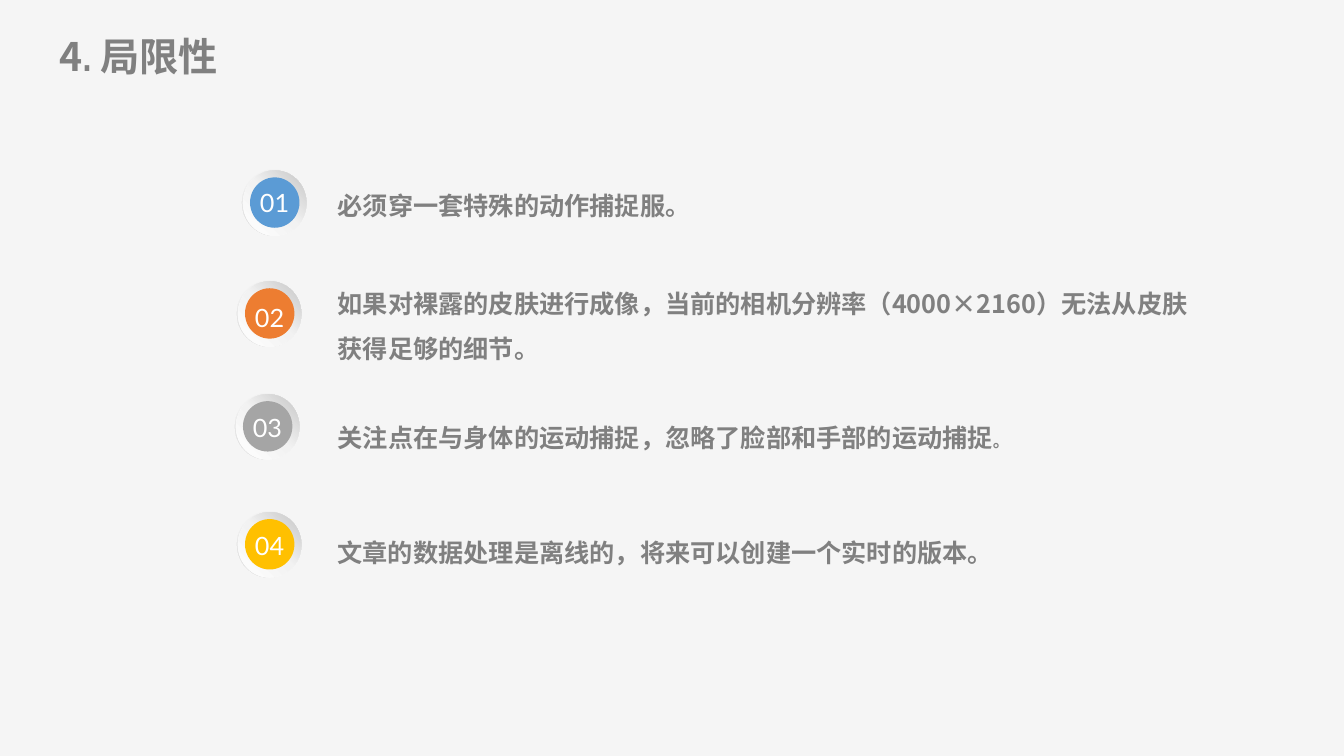
"""Builds a slide listing four numbered limitations."""
from copy import deepcopy

from pptx import Presentation
from pptx.dml.color import RGBColor
from pptx.enum.shapes import MSO_SHAPE
from pptx.enum.text import MSO_AUTO_SIZE, PP_ALIGN
from pptx.oxml.ns import qn
from pptx.oxml.xmlchemy import OxmlElement
from pptx.util import Inches, Pt

CJK = "Noto Sans CJK SC"
TITLE = {"name": CJK, "size": 28, "color": "808080", "bold": True}
BODY = {"name": CJK, "size": 18, "color": "808080", "bold": True}
NUMBER = {"name": "Lato", "size": 18, "color": "FFFFFF", "bold": False}

TITLE_RUNS = [("4", TITLE), (". 局限性", TITLE | {"name": "Arial Narrow"})]
LIMITATIONS = [
    {"number": "01", "color": "5B9BD5", "badge": (2.4, 1.68),
     "label": (2.48, 1.81, 0.54, 0.4), "box": (3.25, 1.74, 3.91, 0.4),
     "runs": [("必须穿一套特殊的动作捕捉服。", BODY)]},
    {"number": "02", "color": "ED7D31", "badge": (2.35, 2.78),
     "label": (2.43, 2.95, 0.57, 0.4), "box": (3.25, 2.71, 8.81, 0.86),
     "runs": [("如果对裸露的皮肤进行成像，当前的相机分辨率（4000×2160）"
               "无法从皮肤获得足够的细节。", BODY)]},
    {"number": "03", "color": "A5A5A5", "badge": (2.33, 3.9),
     "label": (2.41, 4.04, 0.57, 0.4), "box": (3.25, 4.04, 8.35, 0.4),
     "runs": [("关注点在与身体的运动捕捉，忽略了脸部和手部的运动捕捉", BODY),
              ("。", BODY | {"size": 12})]},
    {"number": "04", "color": "FFC000", "badge": (2.35, 5.07),
     "label": (2.43, 5.21, 0.58, 0.4), "box": (3.25, 5.18, 8.2, 0.4),
     "runs": [("文章的数据处理是离线的，将来可以创建一个实时的版本。", BODY)]},
]
RING_STOPS = [(0, "F2F2F2"), (0.55, "F2F2F2"), (1, "D9D9D9")]
DISH_STOPS = [(0, "FFFFFF"), (0.51, "F2F2F2"), (1, "C5C5C5")]


def rgb(value):
    return RGBColor.from_string(value)


def add_round(shapes, kind, left, top, width, height):
    shape = shapes.add_shape(kind, *map(Inches, (left, top, width, height)))
    shape.shadow.inherit = False
    shape.line.fill.background()
    return shape


def fill_gradient(shape, stops, angle):
    shape.fill.gradient()
    shape.fill.gradient_angle = angle
    stop_list = shape.element.spPr.find(qn("a:gradFill")).find(qn("a:gsLst"))
    stop_list.insert(1, deepcopy(stop_list[0]))
    for stop, (position, color) in zip(shape.fill.gradient_stops, stops):
        stop.position = position
        stop.color.rgb = rgb(color)


def add_text(slide, box, runs, inset=0.05, spacing=1.0, align=PP_ALIGN.LEFT):
    frame = slide.shapes.add_textbox(*map(Inches, box)).text_frame
    settings = {"word_wrap": True, "auto_size": MSO_AUTO_SIZE.SHAPE_TO_FIT_TEXT,
                "margin_left": Inches(0.1), "margin_right": Inches(0.1),
                "margin_top": Inches(inset), "margin_bottom": Inches(inset)}
    for name, value in settings.items():
        setattr(frame, name, value)
    paragraph = frame.paragraphs[0]
    paragraph.alignment = align
    paragraph.line_spacing = spacing
    for text, style in runs:
        run = paragraph.add_run()
        run.text = text
        formats = {"name": style["name"], "size": Pt(style["size"]), "bold": style["bold"]}
        for name, value in formats.items():
            setattr(run.font, name, value)
        run.font.color.rgb = rgb(style["color"])
        east_asian = OxmlElement("a:ea")
        east_asian.set("typeface", CJK)
        run.font._element.find(qn("a:latin")).addnext(east_asian)


def add_badge(slide, left, top, color):
    rim = slide.shapes.add_group_shape().shapes
    ring = add_round(rim, MSO_SHAPE.DONUT, left, top, 0.64, 0.66)
    ring.adjustments[0] = 0.049
    fill_gradient(ring, RING_STOPS, 225)
    dish = add_round(rim, MSO_SHAPE.OVAL, left + 0.01, top + 0.01, 0.63, 0.65)
    fill_gradient(dish, DISH_STOPS, 45)
    disc = add_round(slide.shapes, MSO_SHAPE.OVAL, left + 0.08, top + 0.08, 0.49, 0.5)
    disc.fill.solid()
    disc.fill.fore_color.rgb = rgb(color)


def main():
    presentation = Presentation()
    presentation.slide_width = Inches(13.33)
    presentation.slide_height = Inches(7.5)
    slide = presentation.slides.add_slide(presentation.slide_layouts[6])
    slide.background.fill.solid()
    slide.background.fill.fore_color.rgb = rgb("F5F5F5")
    add_text(slide, (0.14, 0.27, 2.47, 0.57), TITLE_RUNS, align=PP_ALIGN.CENTER)
    for item in LIMITATIONS:
        add_badge(slide, *item["badge"], item["color"])
        add_text(slide, item["box"], item["runs"], inset=0, spacing=1.5)
        add_text(slide, item["label"], [(item["number"], NUMBER)])
    presentation.save("out.pptx")


if __name__ == "__main__":
    main()
